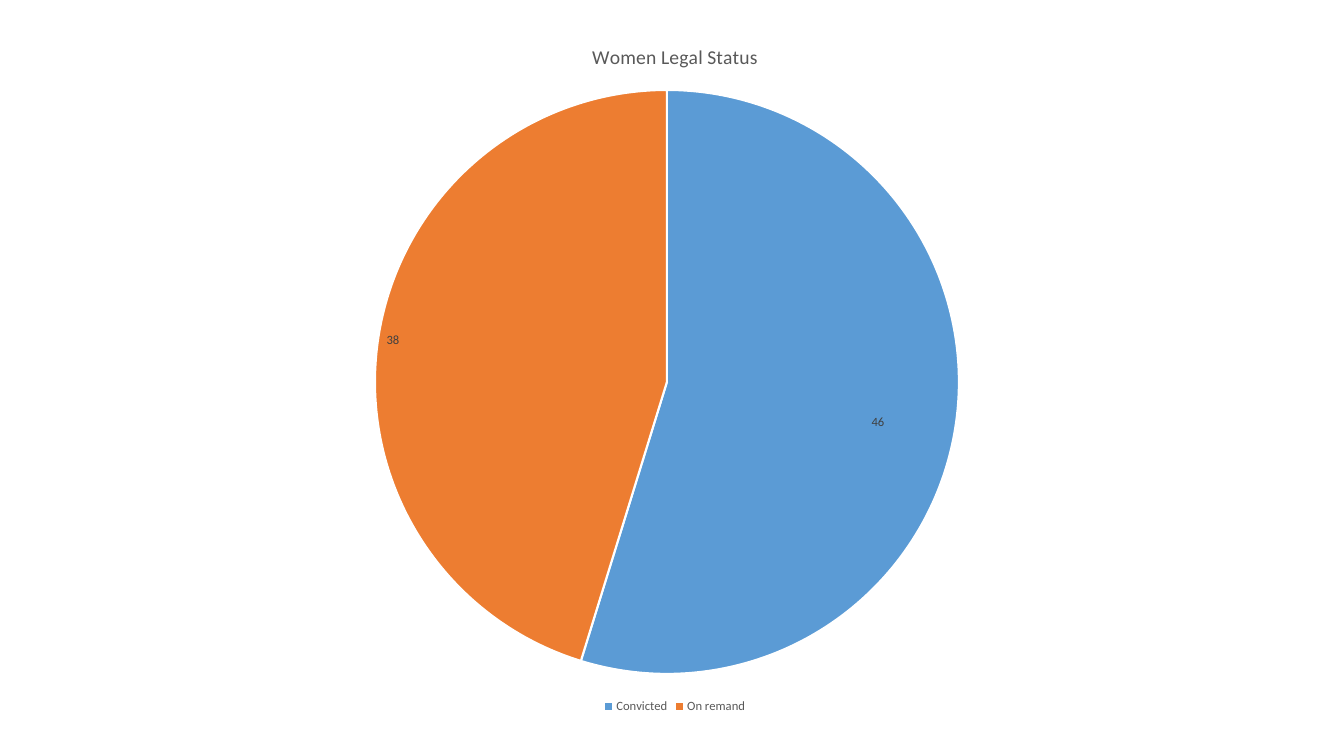
from dataclasses import dataclass

from lxml import etree
from pptx import Presentation
from pptx.chart.data import CategoryChartData
from pptx.dml.color import RGBColor
from pptx.enum.chart import XL_CHART_TYPE, XL_LABEL_POSITION, XL_LEGEND_POSITION
from pptx.oxml.ns import qn
from pptx.util import Pt

PIE = XL_CHART_TYPE.PIE
BEST_FIT = XL_LABEL_POSITION.BEST_FIT
BOTTOM = XL_LEGEND_POSITION.BOTTOM

TITLE = "Women Legal Status"
STATUS_COUNTS = {"Convicted": 46, "On remand": 38}

PX = 914400 / 100.8
SLIDE_SIZE = (1344, 756)
CHART_BOX = (20, 20, 1310, 698)
PIE_BOX = (375, 90, 584, 584)
CONVICTED_LABEL_SHIFT = (-90, -11)


@dataclass(frozen=True)
class Theme:
    font: str = "Calibri"
    text: str = "595959"
    label: str = "404040"
    background: str = "FFFFFF"
    slices: tuple = ("5B9BD5", "ED7D31")
    title_size: int = 14
    small_size: int = 9
    base_size: int = 10
    slice_line: float = 1.5


THEME = Theme()


def emu(px):
    return round(px * PX)


def style_font(font, size, color):
    font.name = THEME.font
    font.size = Pt(size)
    font.bold = False
    font.color.rgb = RGBColor.from_string(color)


def set_layout(parent, index, **settings):
    """Give a chart part a manual layout, as shares of the chart's size."""
    for old in parent.findall(qn("c:layout")):
        parent.remove(old)
    layout = etree.Element(qn("c:layout"))
    manual = etree.SubElement(layout, qn("c:manualLayout"))
    for name, value in settings.items():
        etree.SubElement(manual, qn(f"c:{name}")).set("val", str(value))
    parent.insert(index, layout)


def add_status_pie(s):
    data = CategoryChartData()
    data.categories = list(STATUS_COUNTS)
    data.add_series(TITLE, list(STATUS_COUNTS.values()))
    chart = s.shapes.add_chart(PIE, *map(emu, CHART_BOX), data).chart
    style_font(chart.font, THEME.base_size, THEME.text)

    chart.has_title = True
    tf = chart.chart_title.text_frame
    tf.text = TITLE
    style_font(tf.paragraphs[0].runs[0].font, THEME.title_size, THEME.text)

    chart.has_legend = True
    chart.legend.position = BOTTOM
    chart.legend.include_in_layout = False
    style_font(chart.legend.font, THEME.small_size, THEME.text)

    plot = chart.plots[0]
    plot.vary_by_categories = True
    series = plot.series[0]
    for i, color in enumerate(THEME.slices):
        fmt = series.points[i].format
        fmt.fill.solid()
        fmt.fill.fore_color.rgb = RGBColor.from_string(color)
        fmt.line.color.rgb = RGBColor.from_string(THEME.background)
        fmt.line.width = Pt(THEME.slice_line)

    convicted_label = series.points[0].data_label
    series.data_labels.show_value = True
    for labels in (series.data_labels, convicted_label):
        labels.position = BEST_FIT
        style_font(labels.font, THEME.small_size, THEME.label)

    left, top, width, height = CHART_BOX
    x, y, w, h = PIE_BOX
    plot_area = chart.element.find(".//" + qn("c:plotArea"))
    set_layout(plot_area, 0, layoutTarget="inner", xMode="edge", yMode="edge",
               x=(x - left) / width, y=(y - top) / height,
               w=w / width, h=h / height)
    dx, dy = CONVICTED_LABEL_SHIFT
    set_layout(chart.element.find(".//" + qn("c:dLbl")), 1,
               x=dx / width, y=dy / height)


def main():
    prs = Presentation()
    prs.slide_width, prs.slide_height = map(emu, SLIDE_SIZE)
    s = prs.slides.add_slide(prs.slide_layouts[6])
    add_status_pie(s)
    prs.save("out.pptx")


if __name__ == "__main__":
    main()
